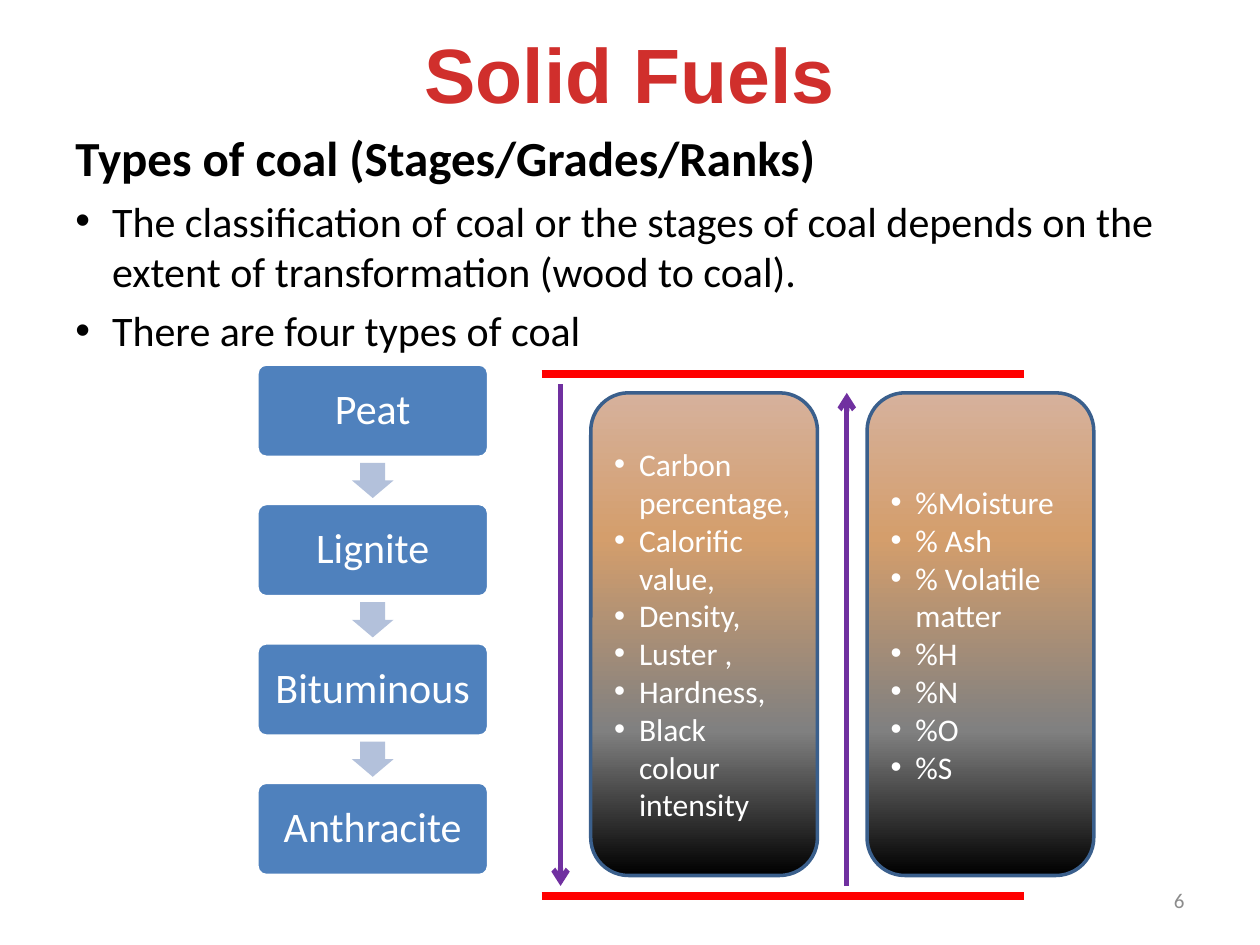
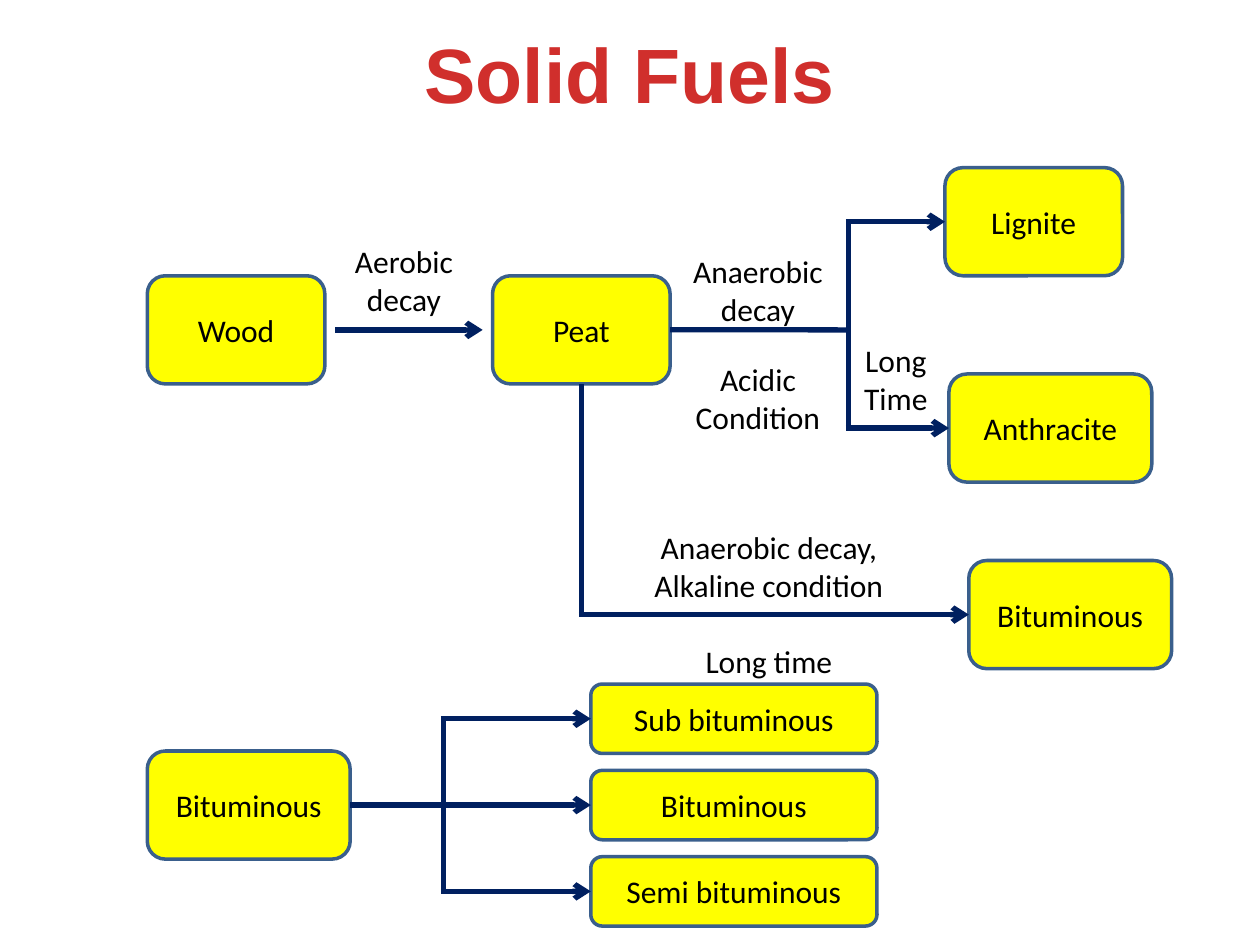
"""Build two slides on the types of coal and how they form."""
from dataclasses import dataclass

from lxml.etree import SubElement
from pptx import Presentation
from pptx.dml.color import RGBColor
from pptx.enum.shapes import MSO_CONNECTOR, MSO_SHAPE
from pptx.enum.text import MSO_ANCHOR, PP_ALIGN
from pptx.oxml.ns import qn
from pptx.util import Cm, Pt

TOP, LEFT, BOTTOM, RIGHT = range(4)


@dataclass(frozen=True)
class Theme:
    """Colours, fonts and type sizes."""
    title_font: str = "Arial"
    body_font: str = "Calibri"
    title_size: int = 44
    heading_size: int = 28
    text_size: int = 24
    label_size: int = 18
    number_size: int = 12
    black: str = "000000"
    white: str = "FFFFFF"
    grey: str = "8C8C8C"
    step: str = "4F81BD"
    step_arrow: str = "B3C1DB"
    outline: str = "3A5F8C"
    node: str = "FFFF00"
    flow: str = "002060"
    trend: str = "7030A0"
    limit: str = "FF0000"
    title_stops: tuple = ((0, "FC7C7A"), (75, "D02F2C"), (100, "C70500"))
    coal_stops: tuple = ((0, "D6B19C"), (30, "D49E6C"), (70, "808080"), (100, "000000"))


class Deck:
    """Hold the theme and the current slide, and draw each kind of element."""

    def __init__(self, theme):
        """Open an empty 4:3 presentation."""
        self.theme = theme
        self.prs = Presentation()
        self.prs.slide_width, self.prs.slide_height = Cm(25.4), Cm(19.05)

    def new_slide(self, title):
        """Add a blank slide with the shared title."""
        t = self.theme
        self.slide = self.prs.slides.add_slide(self.prs.slide_layouts[6])
        s = self.text([title], (0.79, 0.41, 23.83, 2.13), t.title_size)
        font = s.text_frame.paragraphs[0].runs[0].font
        font.name, font.bold = t.title_font, True
        self.gradient(font.fill, s, t.title_stops)

    def gradient(self, fill, s, stops):
        """Give a fill a top-to-bottom gradient with any number of stops."""
        fill.gradient()
        fill.gradient_angle = 270
        gs_list = next(s.element.iter(qn("a:gsLst")))
        for gs in list(gs_list):
            gs_list.remove(gs)
        for percent, color in stops:
            gs = SubElement(gs_list, qn("a:gs"), pos=str(percent * 1000))
            SubElement(gs, qn("a:srgbClr"), val=color)

    def set_text(self, s, lines, size, color=None, align=PP_ALIGN.CENTER):
        """Fill a shape with one paragraph per line."""
        tf = s.text_frame
        tf.word_wrap = True
        tf.text = "\n".join(lines)
        for p in tf.paragraphs:
            p.alignment = align
            for r in p.runs:
                r.font.name, r.font.size = self.theme.body_font, Pt(size)
                r.font.color.rgb = RGBColor.from_string(color or self.theme.black)
        return tf

    def text(self, lines, box, size, color=None, align=PP_ALIGN.CENTER):
        """Add a text box."""
        s = self.slide.shapes.add_textbox(*map(Cm, box))
        self.set_text(s, lines, size, color, align)
        return s

    def bullet(self, p, indent):
        """Turn a paragraph into a bullet with a hanging indent."""
        pPr = p._p.get_or_add_pPr()
        pPr.set("marL", str(Cm(indent)))
        pPr.set("indent", str(-Cm(indent)))
        SubElement(pPr, qn("a:buFont"), typeface="Arial")
        SubElement(pPr, qn("a:buChar"), char="•")

    def shape(self, kind, box, fill=None, line=None, adjust=()):
        """Add a preset shape without shadow."""
        s = self.slide.shapes.add_shape(kind, *map(Cm, box))
        s.shadow.inherit = False
        for i, value in enumerate(adjust):
            s.adjustments[i] = value
        if fill:
            s.fill.solid()
            s.fill.fore_color.rgb = RGBColor.from_string(fill)
        if line:
            s.line.color.rgb = RGBColor.from_string(line)
            s.line.width = Pt(2)
        else:
            s.line.fill.background()
        return s

    def step(self, name, box):
        """Add one stage of the vertical process."""
        t = self.theme
        s = self.shape(MSO_SHAPE.ROUNDED_RECTANGLE, box, t.step, t.white, (0.1,))
        tf = self.set_text(s, [name], t.text_size, t.white)
        tf.paragraphs[0].line_spacing = 0.9

    def panel(self, lines, box):
        """Add a coal-coloured panel with a bulleted list."""
        t = self.theme
        s = self.shape(MSO_SHAPE.ROUNDED_RECTANGLE, box, line=t.outline)
        self.gradient(s.fill, s, t.coal_stops)
        tf = self.set_text(s, lines, t.label_size, t.white, PP_ALIGN.LEFT)
        for p in tf.paragraphs:
            self.bullet(p, 0.5)

    def node(self, name, left, top, width=3.58, height=2.18):
        """Add a box of the flow chart."""
        t = self.theme
        box = left, top, width, height
        s = self.shape(MSO_SHAPE.ROUNDED_RECTANGLE, box, t.node, t.outline)
        self.set_text(s, [name], t.label_size)
        return s

    def line(self, start, end, color=None, width=3, arrow=False):
        """Draw a line between points, or between (shape, side) pairs."""
        joined = [not isinstance(e[0], (int, float)) for e in (start, end)]
        points = [(0, 0) if j else e for j, e in zip(joined, (start, end))]
        c = self.slide.shapes.add_connector(
            MSO_CONNECTOR.STRAIGHT, *(Cm(v) for point in points for v in point))
        if joined[0]:
            c.begin_connect(*start)
        if joined[1]:
            c.end_connect(*end)
        c.line.color.rgb = RGBColor.from_string(color or self.theme.flow)
        c.line.width = Pt(width)
        spPr = c.element.spPr
        if arrow:
            SubElement(spPr.find(qn("a:ln")), qn("a:tailEnd"), type="arrow")
        SubElement(spPr, qn("a:effectLst"))


def types_slide(deck):
    """Show the four types of coal and the trends between them."""
    t = deck.theme
    deck.new_slide("Solid Fuels")
    number = deck.text(["6"], (18.21, 17.65, 5.92, 1.01), t.number_size, t.grey, PP_ALIGN.RIGHT)
    number.text_frame.vertical_anchor = MSO_ANCHOR.MIDDLE

    body = deck.text([
        "Types of coal (Stages/Grades/Ranks)",
        "The classification of coal or the stages of coal depends on the "
        "extent of transformation (wood to coal).",
        "There are four types of coal",
    ], (1.27, 2.45, 22.86, 15.09), t.text_size, align=PP_ALIGN.LEFT)
    heading, *points = body.text_frame.paragraphs
    heading.runs[0].font.size = Pt(t.heading_size)
    heading.runs[0].font.bold = True
    for p in points:
        deck.bullet(p, 0.74)
        p.space_before = Pt(5)

    left, top, width, height, pitch = 5.18, 7.34, 4.67, 1.88, 2.81
    for i, name in enumerate(("Peat", "Lignite", "Bituminous", "Anthracite")):
        y = top + i * pitch
        if i:
            arrow = left + width / 2 - 0.42, y - 0.82, 0.84, 0.71
            deck.shape(MSO_SHAPE.DOWN_ARROW, arrow, t.step_arrow, adjust=(0.6, 0.5))
        deck.step(name, (left, y, width, height))

    for y in (7.54, 18.06):
        deck.line((10.92, y), (20.65, y), t.limit, 4.5)
    deck.line((11.3, 7.75), (11.3, 17.86), t.trend, arrow=True)
    deck.line((17.07, 17.86), (17.07, 7.92), t.trend, arrow=True)

    rising = ("Carbon percentage,", "Calorific value,", "Density,",
              "Luster ,", "Hardness,", "Black colour intensity")
    falling = ("%Moisture", "% Ash", "% Volatile matter", "%H", "%N", "%O", "%S")
    for x, lines in ((11.91, rising), (17.48, falling)):
        deck.panel(lines, (x, 7.92, 4.57, 9.73))


def formation_slide(deck):
    """Show how wood turns into each type of coal."""
    t = deck.theme
    deck.new_slide("Solid Fuels")
    deck.node("Wood", 2.97, 5.56)
    peat = deck.node("Peat", 9.93, 5.56)
    lignite = deck.node("Lignite", 19.05, 3.38)
    bituminous = deck.node("Bituminous", 19.53, 11.3, 4.09)
    anthracite = deck.node("Anthracite", 19.13, 7.54, 4.09)
    parent = deck.node("Bituminous", 2.97, 15.14, 4.09)
    grades = [deck.node(name, 11.91, 13.79 + i * 1.74, 5.77, 1.4)
              for i, name in enumerate(("Sub bituminous", "Bituminous", "Semi bituminous"))]

    def branch(x, s):
        """Draw an arrow from a trunk at x to the left side of a box."""
        deck.line((x - 0.05, (s.top + s.height / 2) / Cm(1)), (s, LEFT), arrow=True)

    deck.line((6.76, 6.65), (9.73, 6.65), arrow=True)

    acid_x, alkaline_x, grade_x = 17.1, 11.72, 8.94
    deck.line((peat, RIGHT), (acid_x, 6.65))
    deck.line((acid_x, 4.47), (acid_x, 8.63))
    branch(acid_x, lignite)
    branch(acid_x, anthracite)

    deck.line((peat, BOTTOM), (alkaline_x, 12.39))
    branch(alkaline_x, bituminous)

    deck.line((parent, RIGHT), (grade_x, 16.23))
    deck.line((grade_x, 14.49), (grade_x, 17.97))
    for s in grades:
        branch(grade_x, s)

    labels = (
        (["Aerobic decay"], (6.76, 4.75, 2.77, 1.8)),
        (["Anaerobic decay"], (13.69, 4.95, 3.18, 1.8)),
        (["Acidic Condition"], (13.69, 7.14, 3.18, 1.8)),
        (["Long", "Time"], (17.07, 6.76, 1.98, 1.8)),
    )
    for lines, box in labels:
        deck.text(lines, box, t.label_size)
    alkaline = deck.text(["Anaerobic decay,", "Alkaline condition", "Long time"],
                         (12.12, 10.52, 6.76, 3.33), t.label_size)
    alkaline.text_frame.paragraphs[-1].space_before = Pt(22)


def main():
    """Build and save the deck."""
    deck = Deck(Theme())
    types_slide(deck)
    formation_slide(deck)
    deck.prs.save("out.pptx")


if __name__ == "__main__":
    main()
